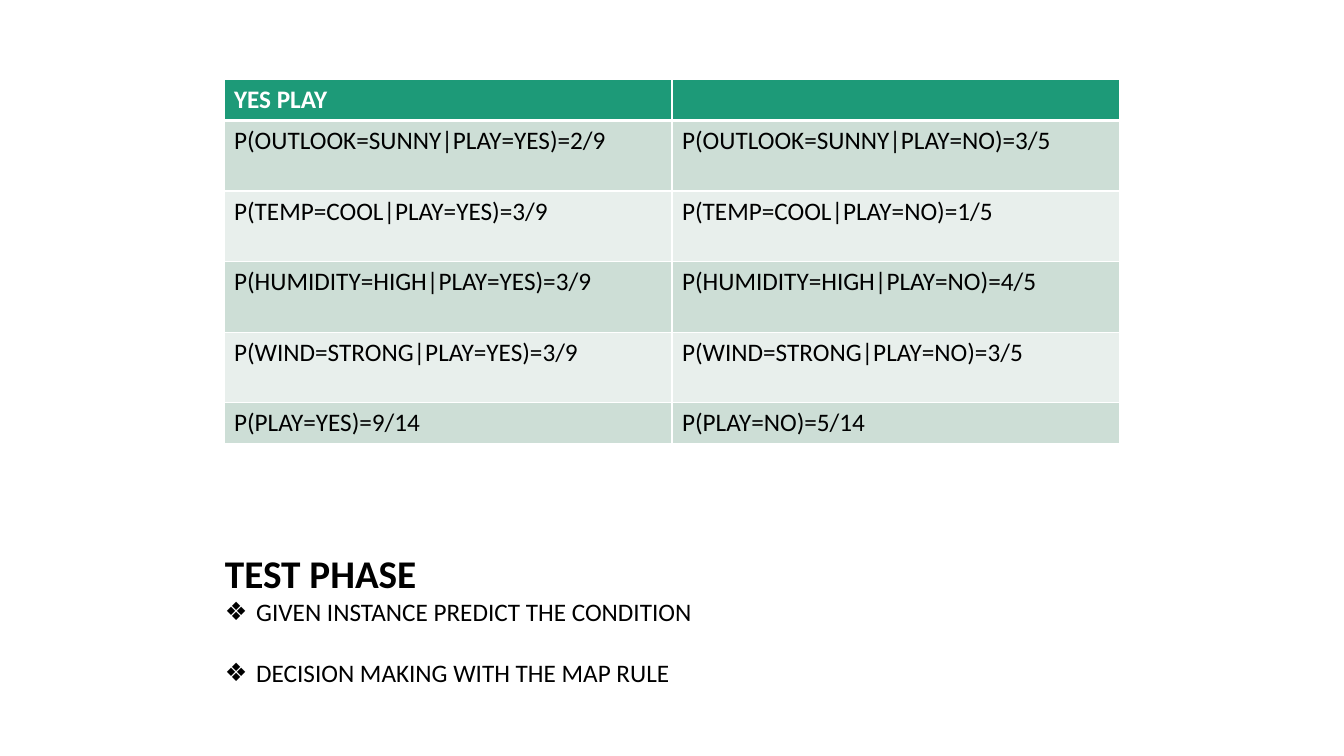
from lxml.etree import SubElement
from pptx import Presentation
from pptx.dml.color import RGBColor
from pptx.enum.text import MSO_ANCHOR, MSO_AUTO_SIZE, PP_ALIGN
from pptx.oxml import parse_xml
from pptx.oxml.ns import nsdecls, qn
from pptx.util import Inches, Pt

WHITE = RGBColor(0xFF, 0xFF, 0xFF)
BLACK = RGBColor(0x00, 0x00, 0x00)
GREEN = RGBColor(0x1D, 0x9A, 0x78)
BANDS = (RGBColor(0xCD, 0xDE, 0xD6), RGBColor(0xE8, 0xEF, 0xEC))

SLIDE_WIDTH, SLIDE_HEIGHT = Inches(13.33), Inches(7.5)
COLUMN = SLIDE_WIDTH // 6
TEXT_LEFT = COLUMN - Inches(0.09)
BULLET_INDENT = Inches(0.31)

PROBABILITIES = [
    ("YES PLAY", ""),
    ("P(OUTLOOK=SUNNY|PLAY=YES)=2/9", "P(OUTLOOK=SUNNY|PLAY=NO)=3/5"),
    ("P(TEMP=COOL|PLAY=YES)=3/9", "P(TEMP=COOL|PLAY=NO)=1/5"),
    ("P(HUMIDITY=HIGH|PLAY=YES)=3/9", "P(HUMIDITY=HIGH|PLAY=NO)=4/5"),
    ("P(WIND=STRONG|PLAY=YES)=3/9", "P(WIND=STRONG|PLAY=NO)=3/5"),
    ("P(PLAY=YES)=9/14", "P(PLAY=NO)=5/14"),
]
ROW_HEIGHTS = [0.4] + [0.7] * 4 + [0.4]
TEST_STEPS = ["GIVEN INSTANCE PREDICT THE CONDITION", "DECISION MAKING WITH THE MAP RULE"]


def apply(target, **values):
    for name, value in values.items():
        setattr(target, name, value)


def write(para, text, size=18, color=BLACK, bold=False):
    font = para.font
    if text:
        span = para.add_run()
        span.text = text
        font = span.font
    apply(font, name="Calibri", size=Pt(size), bold=bold)
    font.color.rgb = color


def add_borders(cell, bottom):
    """Draw white cell edges; the bottom width is in points."""
    properties = cell._tc.get_or_add_tcPr()
    widths = {"lnL": 1, "lnR": 1, "lnT": 1, "lnB": bottom}
    for index, (edge, width) in enumerate(widths.items()):
        properties.insert(index, parse_xml(
            f'<a:{edge} {nsdecls("a")} w="{Pt(width)}"><a:solidFill>'
            f'<a:srgbClr val="{WHITE}"/></a:solidFill></a:{edge}>'))


def add_probability_table(slide):
    frame = slide.shapes.add_table(
        len(PROBABILITIES), 2, COLUMN, Inches(0.79),
        4 * COLUMN, Inches(sum(ROW_HEIGHTS)))
    table = frame.table
    for row, (texts, height) in enumerate(zip(PROBABILITIES, ROW_HEIGHTS)):
        table.rows[row].height = Inches(height)
        header = row == 0
        for column, text in enumerate(texts):
            cell = table.cell(row, column)
            cell.fill.solid()
            cell.fill.fore_color.rgb = GREEN if header else BANDS[(row - 1) % 2]
            add_borders(cell, bottom=3 if header else 1)
            write(cell.text_frame.paragraphs[0], text,
                  color=WHITE if header else BLACK, bold=header)


def place(placeholder, top, height):
    """Move a placeholder to the text column and return its text frame."""
    apply(placeholder, left=TEXT_LEFT, top=top, width=4 * COLUMN, height=height)
    frame = placeholder.text_frame
    apply(frame, word_wrap=True, auto_size=MSO_AUTO_SIZE.NONE,
          vertical_anchor=MSO_ANCHOR.TOP)
    return frame


def add_title(slide, text):
    para = place(slide.shapes.title, Inches(5.4), Inches(0.57)).paragraphs[0]
    para.alignment = PP_ALIGN.LEFT
    write(para, text, size=28, bold=True)


def add_bullets(slide, items):
    frame = place(slide.placeholders[1], Inches(5.87), Inches(1.02))
    for index, item in enumerate(items):
        para = frame.add_paragraph() if index else frame.paragraphs[0]
        para.space_before = Pt(22 if index else 0)
        properties = para._p.get_or_add_pPr()
        properties.set("marL", str(BULLET_INDENT))
        properties.set("indent", str(-BULLET_INDENT))
        SubElement(properties, qn("a:buChar"), char="❖")
        write(para, item)


def main():
    deck = Presentation()
    apply(deck, slide_width=SLIDE_WIDTH, slide_height=SLIDE_HEIGHT)
    slide = deck.slides.add_slide(deck.slide_layouts[1])
    add_probability_table(slide)
    add_title(slide, "TEST PHASE")
    add_bullets(slide, TEST_STEPS)
    deck.save("out.pptx")


if __name__ == "__main__":
    main()
